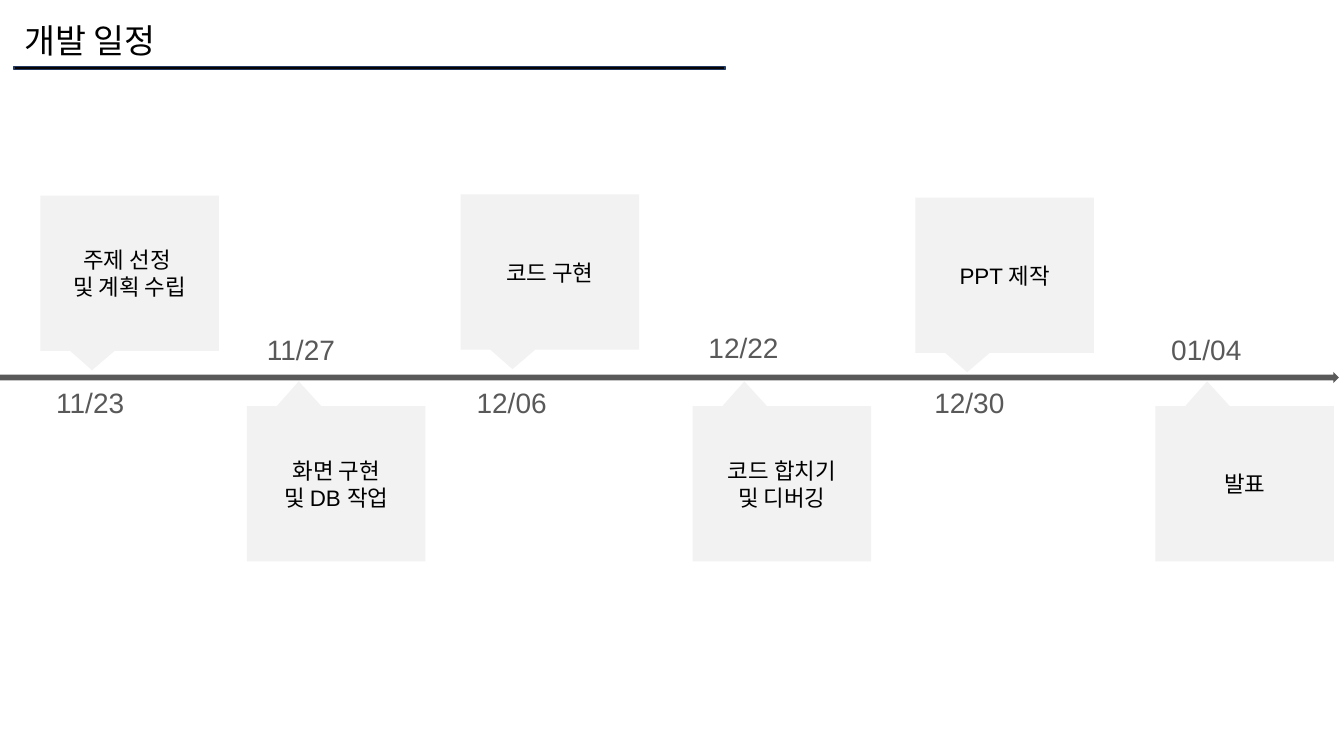
import pptx
import pptx.util
import pptx.dml.color
import pptx.enum.shapes
import pptx.enum.text

Inches = pptx.util.Inches
Pt = pptx.util.Pt
SHAPE = pptx.enum.shapes.MSO_SHAPE
ALIGN = pptx.enum.text.PP_ALIGN
ANCHOR = pptx.enum.text.MSO_ANCHOR

FONT = "Arial"
COLORS = {
    "text": "000000",
    "timeline": "595959",
    "card": "F2F2F2",
    "rule": "080404",
    "rule_edge": "223961",
}
CARD_W, CARD_H = 1.77, 1.54
DATE_W, DATE_H = 1.07, 0.58
POINTER_X = -0.21
POINTER_UP, POINTER_DOWN = -0.66, 0.625

MILESTONES = [
    ("11/23", 0.36, 3.72, ["주제 선정 ", "및 계획 수립"], 0.4, 1.94),
    ("11/27", 2.45, 3.2, ["화면 구현", "및 DB 작업"], 2.45, 4.03),
    ("12/06", 4.54, 3.72, ["코드 구현"], 4.57, 1.93),
    ("12/22", 6.84, 3.18, ["코드 합치기", "및 디버깅"], 6.87, 4.03),
    ("12/30", 9.08, 3.72, ["PPT 제작"], 9.08, 1.96),
    ("01/04", 11.43, 3.2, ["발표"], 11.46, 4.03),
]


def rgb(name):
    return pptx.dml.color.RGBColor.from_string(COLORS[name])


def write(tf, lines, size, color, align, spacing=None):
    for i, line in enumerate(lines):
        p = tf.paragraphs[0] if i == 0 else tf.add_paragraph()
        p.alignment = align
        if spacing:
            p.line_spacing = spacing
        r = p.add_run()
        r.text = line
        r.font.size = Pt(size)
        r.font.name = FONT
        r.font.color.rgb = rgb(color)


def add_title(s, text):
    sp = s.shapes.title
    sp.left, sp.top = Inches(0.14), Inches(0.15)
    sp.width, sp.height = Inches(2.4), Inches(0.5)
    tf = sp.text_frame
    tf.word_wrap = True
    tf.auto_size = pptx.enum.text.MSO_AUTO_SIZE.SHAPE_TO_FIT_TEXT
    tf.vertical_anchor = ANCHOR.TOP
    write(tf, [text], 24, "text", ALIGN.LEFT)


def add_block(s, kind, x, y, w, h, fill, edge=None):
    sp = s.shapes.add_shape(kind, Inches(x), Inches(y), Inches(w), Inches(h))
    sp.shadow.inherit = False
    sp.fill.solid()
    sp.fill.fore_color.rgb = rgb(fill)
    if edge:
        sp.line.color.rgb = rgb(edge)
        sp.line.width = Pt(1)
    else:
        sp.line.fill.background()
    return sp


def add_date(s, text, x, y):
    sp = s.shapes.add_textbox(Inches(x), Inches(y), Inches(DATE_W), Inches(DATE_H))
    tf = sp.text_frame
    tf.word_wrap = True
    tf.vertical_anchor = ANCHOR.MIDDLE
    write(tf, [text], 20, "timeline", ALIGN.CENTER, 0.9)


def add_card(s, lines, x, y, pointer_y):
    sp = add_block(s, SHAPE.RECTANGULAR_CALLOUT, x, y, CARD_W, CARD_H, "card")
    sp.adjustments[0] = POINTER_X
    sp.adjustments[1] = pointer_y
    tf = sp.text_frame
    tf.word_wrap = True
    tf.vertical_anchor = ANCHOR.MIDDLE
    write(tf, lines, 16, "text", ALIGN.CENTER)


def main():
    prs = pptx.Presentation()
    prs.slide_width, prs.slide_height = Inches(13.33), Inches(7.5)
    s = prs.slides.add_slide(prs.slide_layouts[5])

    add_title(s, "개발 일정")
    add_block(s, SHAPE.RECTANGLE, 0.14, 0.66, 7.05, 0.03, "rule", "rule_edge")
    add_block(s, SHAPE.RIGHT_ARROW, 0, 3.69, 13.28, 0.11, "timeline")
    for date, date_x, date_y, lines, card_x, card_y in MILESTONES:
        pointer_y = POINTER_DOWN if card_y < date_y else POINTER_UP
        add_card(s, lines, card_x, card_y, pointer_y)
        add_date(s, date, date_x, date_y)

    prs.save("out.pptx")


if __name__ == "__main__":
    main()
